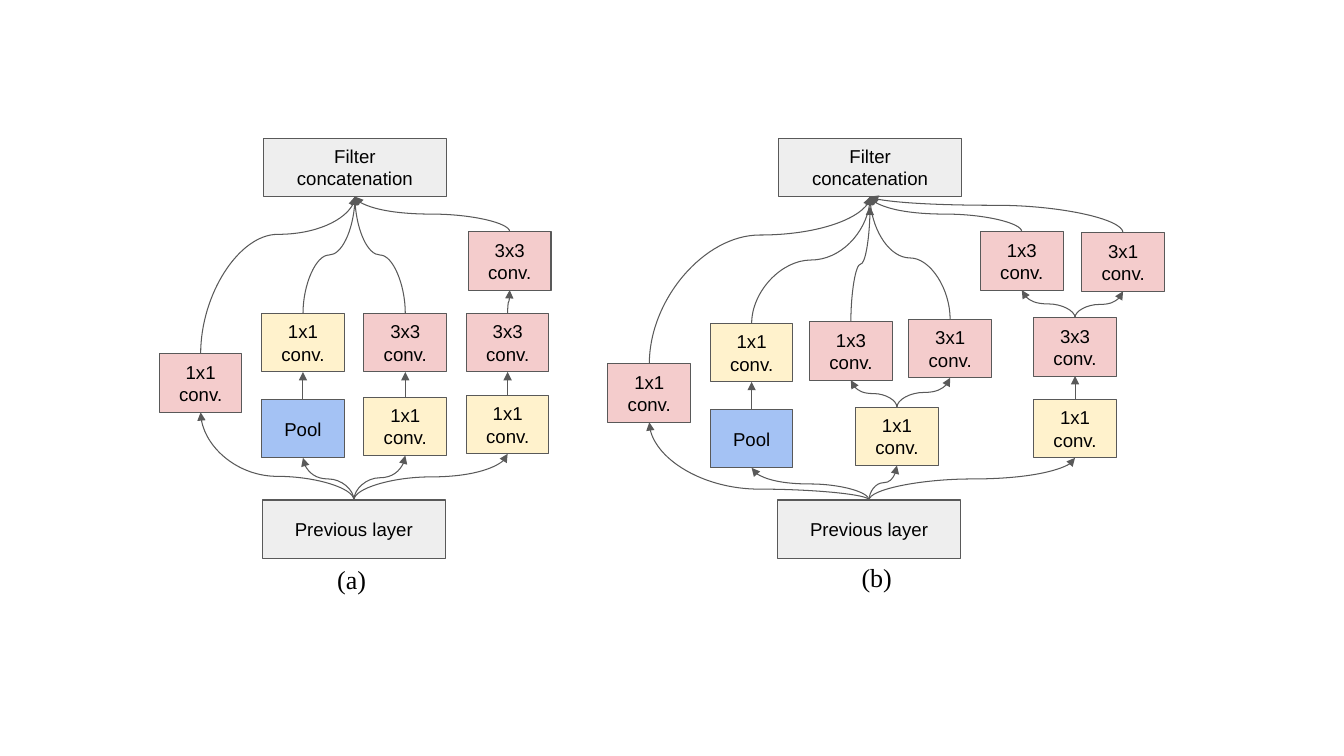
from dataclasses import dataclass

from pptx import Presentation
from pptx import util as u
from pptx.dml.color import RGBColor
from pptx.enum import shapes, text
from pptx.oxml import ns, xmlchemy


@dataclass(frozen=True)
class Theme:
    """Colours, fonts and type sizes."""
    layer: str = "EEEEEE"
    conv: str = "F4CCCC"
    reduce: str = "FFF2CC"
    pool: str = "A4C2F4"
    line: str = "595959"
    ink: str = "000000"
    label_font: str = "Arial"
    caption_font: str = "Times New Roman"
    label_size: float = 13.3
    caption_size: float = 18.6
    line_width: float = 0.75


THEME = Theme()
COLUMN, ROW, TOP = 1.015, 0.58, 1.37
INSET = u.Inches(0.13)
BLOCK_WIDTH, LAYER_WIDTH = 0.82, 1.81
CAPTION_SIZE = (0.62, 0.67)

MODULES = [
    {
        "left": 1.58,
        "caption": ("(a)", 1.61, 7.05),
        "blocks": {
            "previous": ("Previous layer", "layer", 1.01, 6.19),
            "filter": ("Filter concatenation", "layer", 1.02, 0),
            "single": ("1x1 conv.", "conv", 0, 3.69),
            "pool": ("Pool", "pool", 1, 4.47),
            "pool_conv": ("1x1 conv.", "reduce", 1, 3),
            "mid_reduce": ("1x1 conv.", "reduce", 2, 4.43),
            "mid_conv": ("3x3 conv.", "conv", 2, 3),
            "deep_reduce": ("1x1 conv.", "reduce", 3, 4.4),
            "deep_conv": ("3x3 conv.", "conv", 3, 3),
            "deep_last": ("3x3 conv.", "conv", 3.02, 1.6),
        },
        "links": [
            ("previous", "mid_reduce"), ("previous", "single", 0.27),
            ("previous", "deep_reduce"), ("previous", "pool"),
            ("mid_reduce", "mid_conv"), ("deep_reduce", "deep_conv"),
            ("pool", "pool_conv"), ("single", "filter", 0.76),
            ("mid_conv", "filter"), ("deep_conv", "deep_last"),
            ("pool_conv", "filter"), ("deep_last", "filter"),
        ],
    },
    {
        "left": 6.03,
        "caption": ("(b)", 2.35, 7.02),
        "blocks": {
            "previous": ("Previous layer", "layer", 1.66, 6.19),
            "filter": ("Filter concatenation", "layer", 1.67, 0),
            "single": ("1x1 conv.", "conv", 0, 3.86),
            "pool": ("Pool", "pool", 1, 4.64),
            "pool_conv": ("1x1 conv.", "reduce", 1, 3.17),
            "mid_reduce": ("1x1 conv.", "reduce", 2.42, 4.6),
            "mid_wide": ("1x3 conv.", "conv", 1.97, 3.14),
            "mid_tall": ("3x1 conv.", "conv", 2.94, 3.1),
            "deep_reduce": ("1x1 conv.", "reduce", 4.16, 4.47),
            "deep_conv": ("3x3 conv.", "conv", 4.16, 3.07),
            "deep_wide": ("1x3 conv.", "conv", 3.64, 1.6),
            "deep_tall": ("3x1 conv.", "conv", 4.63, 1.62),
        },
        "links": [
            ("previous", "mid_reduce"), ("previous", "single", 0.14),
            ("previous", "deep_reduce"), ("previous", "pool"),
            ("mid_reduce", "mid_wide"), ("mid_reduce", "mid_tall"),
            ("deep_reduce", "deep_conv"), ("pool", "pool_conv"),
            ("single", "filter", 0.77), ("pool_conv", "filter"),
            ("deep_conv", "deep_wide"), ("deep_conv", "deep_tall"),
            ("mid_wide", "filter", 0.5, 0.1), ("mid_tall", "filter"),
            ("deep_wide", "filter"), ("deep_tall", "filter", 0.76),
        ],
    },
]


def grid_point(module_left, column, row):
    """Return the slide position of a grid column and row in a module."""
    return u.Inches(module_left + column * COLUMN), u.Inches(TOP + row * ROW)


def write_label(frame, words, font, size):
    """Write one paragraph with the given font and even insets."""
    frame.text = words
    frame.word_wrap = True
    frame.margin_left = frame.margin_right = INSET
    frame.margin_top = frame.margin_bottom = INSET
    run_font = frame.paragraphs[0].runs[0].font
    run_font.name, run_font.size = font, u.Pt(size)
    run_font.color.rgb = RGBColor.from_string(THEME.ink)


def style_line(line):
    """Apply the common outline."""
    line.color.rgb = RGBColor.from_string(THEME.line)
    line.width = u.Pt(THEME.line_width)


def add_block(slide, module_left, words, role, column, row):
    """Add a labelled network block."""
    width = LAYER_WIDTH if role == "layer" else BLOCK_WIDTH
    block = slide.shapes.add_shape(
        shapes.MSO_SHAPE.RECTANGLE, *grid_point(module_left, column, row),
        u.Inches(width), u.Inches(ROW))
    block.shadow.inherit = False
    block.fill.solid()
    block.fill.fore_color.rgb = RGBColor.from_string(getattr(THEME, role))
    style_line(block.line)
    write_label(block.text_frame, words, THEME.label_font, THEME.label_size)
    block.text_frame.vertical_anchor = text.MSO_ANCHOR.MIDDLE
    block.text_frame.paragraphs[0].alignment = text.PP_ALIGN.CENTER
    return block


def turn_upward(link, start, end, bend):
    """Turn a curved link so that it leaves and arrives vertically."""
    rise, shift = start[1] - end[1], end[0] - start[0]
    link.left = (start[0] + end[0] - rise) // 2
    link.top = (start[1] + end[1] - abs(shift)) // 2
    link.width, link.height = rise, abs(shift)
    frame = link.element.spPr.find(ns.qn("a:xfrm"))
    for flip in ("flipH", "flipV"):
        frame.attrib.pop(flip, None)
    frame.set("rot", str((270 if shift > 0 else 90) * 60000))
    if shift < 0:
        frame.set("flipH", "1")
    guides = link.element.spPr.find(ns.qn("a:prstGeom")).find(ns.qn("a:avLst"))
    guide = xmlchemy.OxmlElement("a:gd")
    guide.set("name", "adj1")
    guide.set("fmla", f"val {round(bend * 100000)}")
    guides.append(guide)


def add_link(slide, source, target, bend=0.5, gap=0):
    """Add an arrow from the top of one block to the bottom of another."""
    start = (source.left + source.width // 2, source.top)
    end = (target.left + target.width // 2,
           target.top + target.height + u.Inches(gap))
    straight = start[0] == end[0]
    kind = shapes.MSO_CONNECTOR.STRAIGHT if straight else shapes.MSO_CONNECTOR.CURVE
    link = slide.shapes.add_connector(kind, *start, *end)
    link.begin_connect(source, 0)
    if not gap:
        link.end_connect(target, 2)
    if not straight:
        turn_upward(link, start, end, bend)
    style_line(link.line)
    arrow = xmlchemy.OxmlElement("a:tailEnd")
    arrow.set("type", "triangle")
    link.element.spPr.find(ns.qn("a:ln")).append(arrow)
    link.element.spPr.append(xmlchemy.OxmlElement("a:effectLst"))


def add_caption(slide, module_left, words, column, row):
    """Add the letter under a module."""
    caption = slide.shapes.add_textbox(
        *grid_point(module_left, column, row), *map(u.Inches, CAPTION_SIZE))
    write_label(caption.text_frame, words, THEME.caption_font, THEME.caption_size)


def add_module(slide, module):
    """Add the blocks, links and caption of one module."""
    blocks = {name: add_block(slide, module["left"], *block)
              for name, block in module["blocks"].items()}
    for source, target, *route in module["links"]:
        add_link(slide, blocks[source], blocks[target], *route)
    add_caption(slide, module["left"], *module["caption"])


def main():
    """Build and save the slide."""
    deck = Presentation()
    deck.slide_width, deck.slide_height = u.Inches(13.33), u.Inches(7.5)
    slide = deck.slides.add_slide(deck.slide_layouts[6])
    for module in MODULES:
        add_module(slide, module)
    deck.save("out.pptx")


if __name__ == "__main__":
    main()
